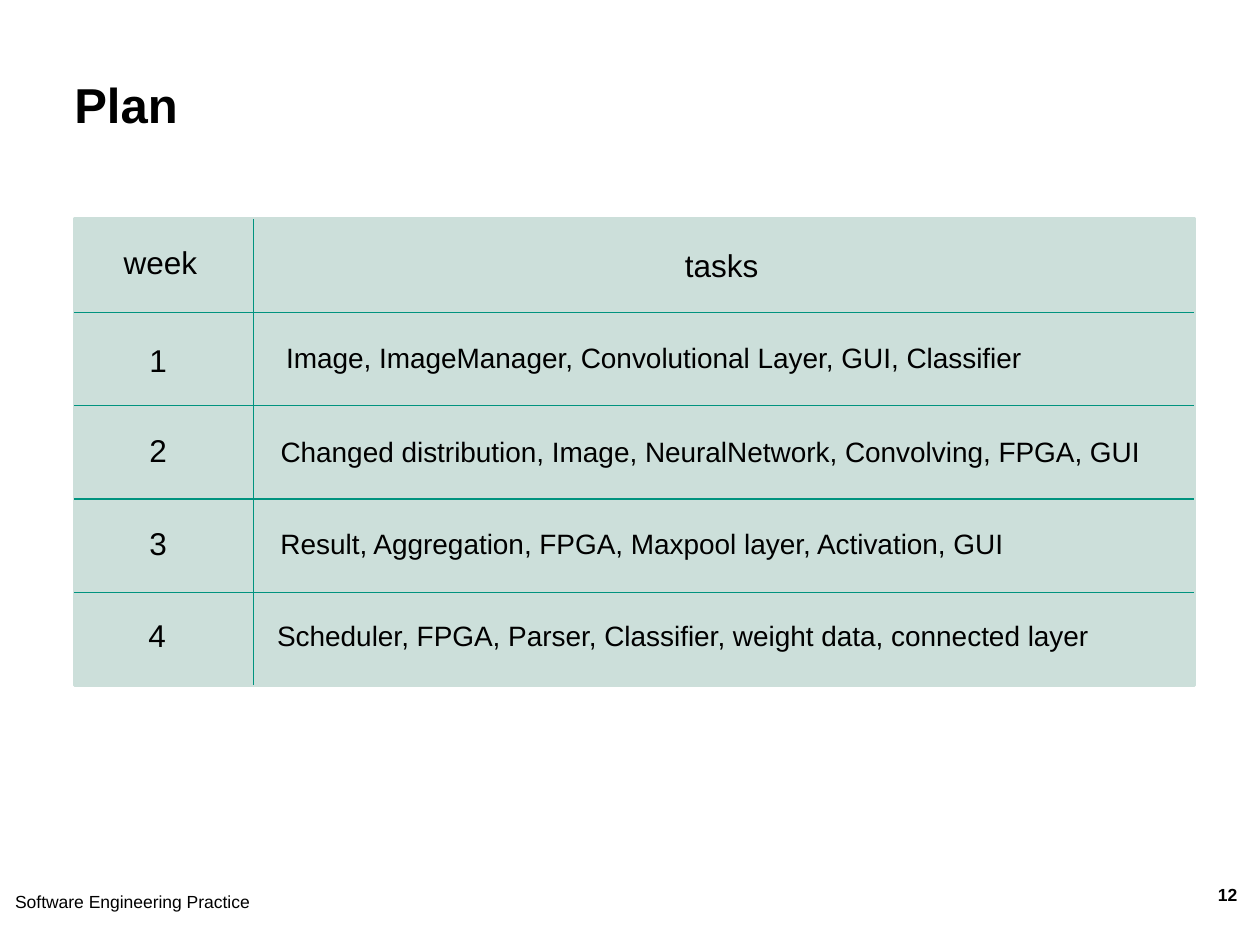
import dataclasses
import pptx
import pptx.dml.color
import pptx.enum.shapes
import pptx.enum.text
import pptx.oxml.ns
import pptx.util
from lxml import etree

# Table grid: 100 columns by 5 rows, in inches
LEFT, TOP, WIDE, HIGH = 0.59, 1.74, 8.89, 3.7
COL, ROW = WIDE / 100, HIGH / 5
BLACK, MINT, TEAL = "000000", "CCDFDA", "00937F"
ALIGN = pptx.enum.text.PP_ALIGN
ANCHOR = pptx.enum.text.MSO_ANCHOR


@dataclasses.dataclass
class Label:
    """Text in the table; col, row and span are in grid units."""
    text: str
    col: float
    row: float
    span: float
    size: int = 16


LABELS = [
    Label("week", 3.3, 0.19, 9.2, 18),
    Label("tasks", 53.4, 0.22, 9.1, 18),
    Label("1", 5.6, 1.24, 9.3, 18),
    Label("2", 5.6, 2.2, 7.5, 18),
    Label("3", 5.6, 3.2, 6.9, 18),
    Label("4", 5.5, 4.19, 6.1, 18),
    Label("Image, ImageManager, Convolutional Layer, GUI, Classifier",
          17.8, 1.23, 79.3),
    Label("Changed distribution, Image, NeuralNetwork, Convolving, FPGA, GUI",
          17.3, 2.24, 84.5),
    Label("Result, Aggregation, FPGA, Maxpool layer, Activation, GUI",
          17.3, 3.23, 79.3),
    Label("Scheduler, FPGA, Parser, Classifier, weight data, connected layer",
          17, 4.22, 84),
]


def inch(*nums: float) -> list:
    return [pptx.util.Inches(n) for n in nums]


def paint(code: str):
    return pptx.dml.color.RGBColor.from_string(code)


def write(frame, text: str, size: int, bold: bool = False,
          align=ALIGN.LEFT) -> None:
    para = frame.paragraphs[0]
    para.alignment = align
    run = para.add_run()
    run.text = text
    run.font.name = "Arial"
    run.font.size = pptx.util.Pt(size)
    run.font.bold = bold
    run.font.color.rgb = paint(BLACK)


def trim(frame) -> None:
    frame.margin_left = frame.margin_right = 0
    frame.margin_top = frame.margin_bottom = 0


def add_text(slide, x: float, y: float, w: float, h: float):
    frame = slide.shapes.add_textbox(*inch(x, y, w, h)).text_frame
    frame.word_wrap = True
    return frame


def add_label(slide, item: Label) -> None:
    high = 0.4 if item.size == 18 else 0.37
    frame = add_text(slide, LEFT + item.col * COL, TOP + item.row * ROW,
                     item.span * COL, high)
    frame.auto_size = pptx.enum.text.MSO_AUTO_SIZE.SHAPE_TO_FIT_TEXT
    write(frame, item.text, item.size)


def add_rule(slide, x: float, y: float, x2: float, y2: float) -> None:
    rule = slide.shapes.add_connector(
        pptx.enum.shapes.MSO_CONNECTOR.STRAIGHT, *inch(x, y, x2, y2))
    rule.line.color.rgb = paint(TEAL)
    rule.line.width = pptx.util.Pt(0.75)
    etree.SubElement(rule._element.spPr, pptx.oxml.ns.qn("a:effectLst"))


def main() -> None:
    deck = pptx.Presentation()
    deck.slide_width, deck.slide_height = inch(10, 7.5)
    slide = deck.slides.add_slide(deck.slide_layouts[5])

    # Title
    title = slide.shapes.title
    title.left, title.top, title.width, title.height = inch(
        LEFT, 0.45, 7.56, 0.61)
    trim(title.text_frame)
    title.text_frame.vertical_anchor = ANCHOR.BOTTOM
    write(title.text_frame, "Plan", 28, bold=True)

    # Page number and footer
    page = add_text(slide, 9.48, 7.02, 0.34, 0.4)
    trim(page)
    write(page, "12", 10, bold=True, align=ALIGN.RIGHT)
    foot = add_text(slide, 0.12, 7.07, 6.11, 0.39)
    trim(foot)
    write(foot, "Software Engineering Practice", 10)

    # Table panel
    panel = slide.shapes.add_shape(
        pptx.enum.shapes.MSO_SHAPE.RECTANGLE, *inch(LEFT, TOP, WIDE, HIGH))
    panel.shadow.inherit = False
    panel.fill.solid()
    panel.fill.fore_color.rgb = paint(MINT)
    panel.line.color.rgb = paint(MINT)
    panel.line.width = pptx.util.Pt(2)

    # Rules between the columns and rows
    split = LEFT + 16 * COL
    add_rule(slide, split, TOP, split, TOP + HIGH)
    for row in range(1, 5):
        y = TOP + row * ROW
        add_rule(slide, LEFT, y, LEFT + WIDE, y)

    # Weeks and tasks
    for item in LABELS:
        add_label(slide, item)

    deck.save("out.pptx")


if __name__ == "__main__":
    main()
